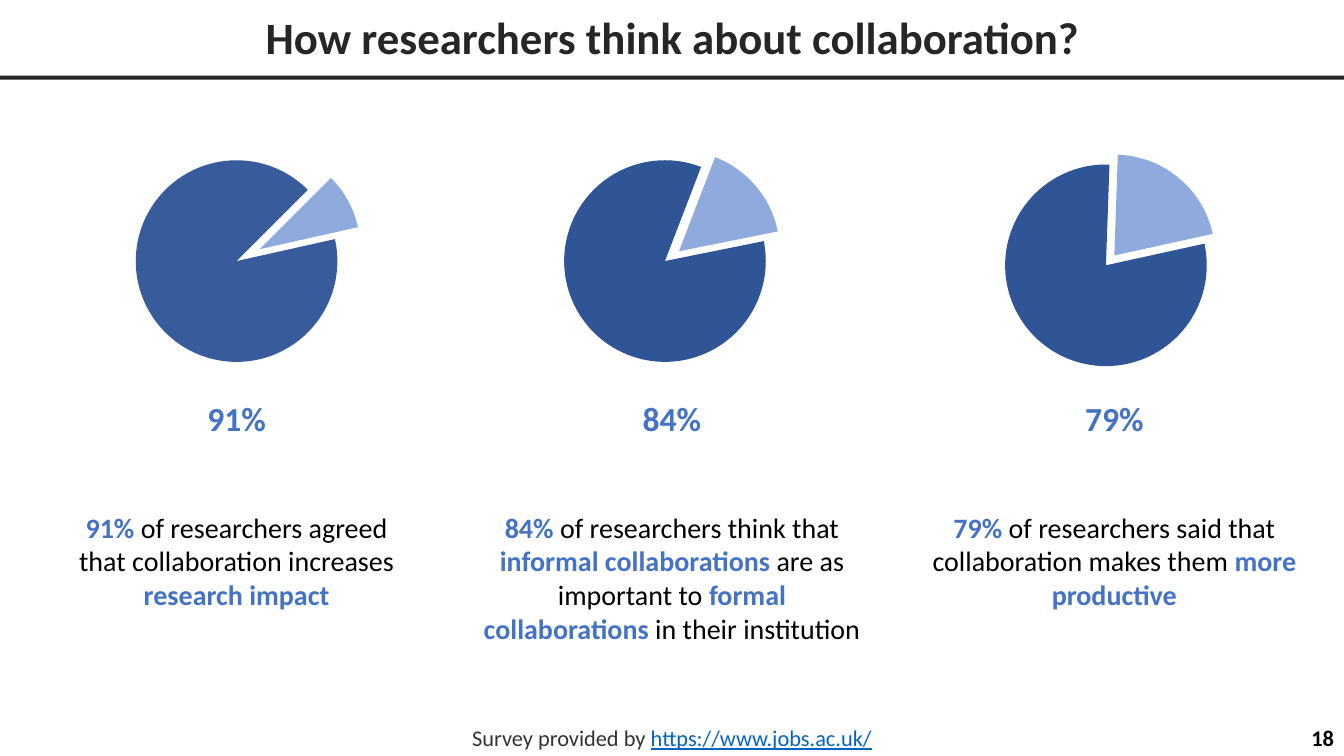
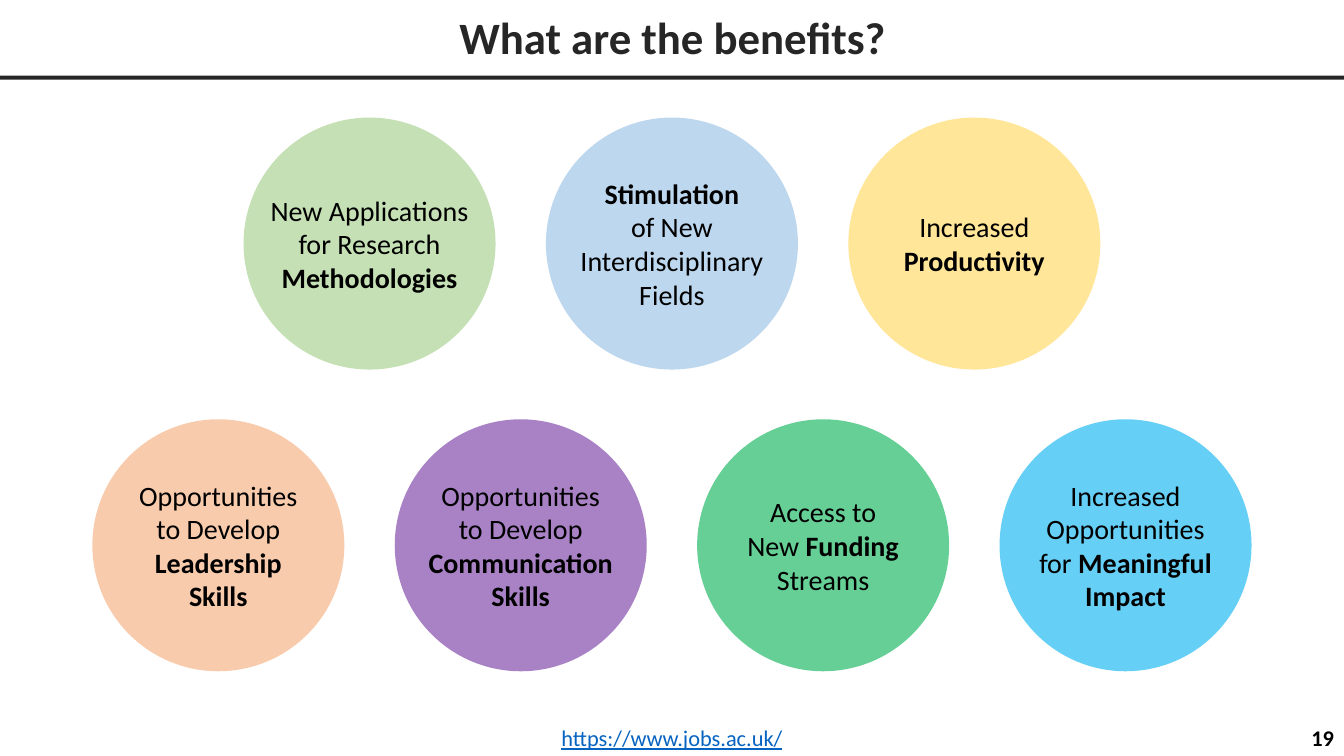
from dataclasses import dataclass

import pptx
import pptx.dml.color
import pptx.enum.shapes
import pptx.enum.text
import pptx.oxml
import pptx.oxml.ns
import pptx.util

Pt = pptx.util.Pt
SHAPE = pptx.enum.shapes.MSO_SHAPE
ALIGN = pptx.enum.text.PP_ALIGN
ANCHOR = pptx.enum.text.MSO_ANCHOR


@dataclass(frozen=True)
class Style:
    size: int
    color: str
    bold: bool = False
    underline: bool = False


class Theme:
    font = "Calibri"
    page_width, page_height = 960, 540
    rule_color = "262626"
    pie_color, slice_color = "2F5597", "8FAADC"
    title = Style(32, "262626", bold=True)
    body = Style(20, "000000")
    strong = Style(20, "000000", bold=True)
    accent = Style(20, "4472C4", bold=True)
    figure = Style(24, "4472C4", bold=True)
    footer = Style(16, "333333")
    link = Style(16, "0563C1", underline=True)
    number = Style(16, "000000", bold=True)


@dataclass(frozen=True)
class Finding:
    percent: int
    column: tuple      # left, width
    pie: tuple         # left, top
    shift: tuple       # offset of the pulled-out slice
    rotation: float
    opacity: int
    statement: str


FINDINGS = [
    Finding(91, (43, 252), (97, 114.5), (16.5, -8.5), -12.6, 96,
            "*91% *of researchers agreed that collaboration increases "
            "*research impact*"),
    Finding(84, (336, 288), (403, 114.5), (10, -7), -11.4, 100,
            "*84% *of researchers think that *informal collaborations* are as "
            "important to *formal collaborations *in their institution"),
    Finding(79, (652, 288), (718, 117.5), (6, -7), -12.4, 100,
            "*79% *of researchers said that collaboration makes them "
            "*more productive*"),
]

# Rows of benefits: fill, opacity, lines
BENEFIT_ROWS = [
    [("C5E0B4", 100, ["New Applications", "for Research", "*Methodologies*"]),
     ("BDD7EE", 100, ["*Stimulation*", "of New", "Interdisciplinary", "Fields"]),
     ("FFE699", 100, ["Increased", "*Productivity*"])],
    [("F8CBAD", 100, ["Opportunities", "to Develop", "*Leadership*", "*Skills*"]),
     ("7030A0", 60, ["Opportunities", "to Develop", "*Communication*", "*Skills*"]),
     ("00B050", 60, ["Access to", "New *Funding*", "Streams"]),
     ("00B0F0", 60, ["Increased", "Opportunities", "for *Meaningful*", "*Impact*"])],
]


def rgb(color):
    return pptx.dml.color.RGBColor.from_string(color)


def write(frame, lines, plain, marked=None, align=ALIGN.CENTER):
    """Fill a text frame; parts between asterisks take the marked style."""
    for index, line in enumerate(lines):
        para = frame.paragraphs[0] if index == 0 else frame.add_paragraph()
        para.alignment = align
        for position, part in enumerate(line.split("*")):
            if not part:
                continue
            style = marked if position % 2 else plain
            span = para.add_run()
            span.text = part
            span.font.name = Theme.font
            span.font.size = Pt(style.size)
            span.font.bold = style.bold
            span.font.underline = style.underline
            span.font.color.rgb = rgb(style.color)


def add_text(page, box, text, plain, marked=None, align=ALIGN.CENTER):
    frame = page.shapes.add_textbox(*map(Pt, box)).text_frame
    frame.word_wrap = True
    write(frame, [text], plain, marked, align)


def add_filled(page, kind, box, color, opacity=100):
    shape = page.shapes.add_shape(kind, *map(Pt, box))
    shape.shadow.inherit = False
    shape.fill.solid()
    shape.fill.fore_color.rgb = rgb(color)
    shape.line.fill.background()
    if opacity < 100:
        fill_color = shape.element.spPr.find(".//" + pptx.oxml.ns.qn("a:srgbClr"))
        alpha = pptx.oxml.parse_xml(
            f'<a:alpha {pptx.oxml.ns.nsdecls("a")} val="{opacity * 1000}"/>')
        fill_color.append(alpha)
    return shape


def prepare_layout(page):
    """Give the layout of this page its title position and title rule."""
    layout = page.slide_layout
    for holder in list(layout.placeholders):
        if holder.placeholder_format.idx:
            holder.element.getparent().remove(holder.element)
    title = layout.placeholders[0]
    title.left, title.top, title.width, title.height = map(Pt, (50, 7, 861, 42.5))
    rule = add_filled(page, SHAPE.RECTANGLE, (0, 54, Theme.page_width, 3),
                      Theme.rule_color)
    rule.element.nvSpPr.cNvPr.set("id", "20")
    layout.shapes.element.append(rule.element)


def add_frame(page, title, source, number):
    """Title, source line and page number."""
    frame = page.shapes.title.text_frame
    frame.auto_size = pptx.enum.text.MSO_AUTO_SIZE.NONE
    frame.vertical_anchor = ANCHOR.MIDDLE
    write(frame, [title], Theme.title)
    frame.paragraphs[0].line_spacing = 0.9
    add_text(page, (0, 513.5, Theme.page_width, 26.5), source,
             Theme.footer, Theme.link)
    add_text(page, (744, 513.5, 216, 26.5), str(number), Theme.number,
             align=ALIGN.RIGHT)


def add_pie(page, box, finding):
    """Main share plus a slice pulled out for the rest."""
    left, top, width, height = box
    shift_x, shift_y = finding.shift
    split = finding.percent * 3.6 * 0.6   # degrees in adjustment units
    parts = [
        (box, Theme.pie_color, finding.opacity, (0, split)),
        ((left + shift_x, top + shift_y, width, height),
         Theme.slice_color, 100, (split, 0)),
    ]
    for part_box, color, opacity, angles in parts:
        part = add_filled(page, SHAPE.PIE, part_box, color, opacity)
        part.adjustments[0], part.adjustments[1] = angles
        part.rotation = finding.rotation


def add_finding(page, finding):
    """One column: pie, figure and statement."""
    left, width = finding.column
    add_pie(page, (*finding.pie, 144, 144), finding)
    add_text(page, (left, 281, width, 36), f"{finding.percent}%", Theme.figure)
    add_text(page, (left, 361, width, 104), finding.statement,
             Theme.body, Theme.accent)


def add_benefit_row(page, top, benefits, diameter=180, gap=36):
    """A centred row of circles."""
    pitch = diameter + gap
    start = (Theme.page_width - len(benefits) * pitch + gap) / 2
    for index, (color, opacity, lines) in enumerate(benefits):
        box = (start + index * pitch, top, diameter, diameter)
        circle = add_filled(page, SHAPE.OVAL, box, color, opacity)
        frame = circle.text_frame
        frame.word_wrap = False
        frame.vertical_anchor = ANCHOR.MIDDLE
        write(frame, lines, Theme.body, Theme.strong)


def main():
    deck = pptx.Presentation()
    deck.slide_width = Pt(Theme.page_width)
    deck.slide_height = Pt(Theme.page_height)
    title_only = deck.slide_layouts[5]

    # Survey findings
    page = deck.slides.add_slide(title_only)
    prepare_layout(page)
    add_frame(page, "How researchers think about collaboration?",
              "Survey provided by *https://www.jobs.ac.uk/*", 18)
    for finding in FINDINGS:
        add_finding(page, finding)

    # Benefits
    page = deck.slides.add_slide(title_only)
    add_frame(page, "What are the benefits?", "*https://www.jobs.ac.uk/*", 19)
    for top, benefits in zip((84, 299.5), BENEFIT_ROWS):
        add_benefit_row(page, top, benefits)

    deck.save("out.pptx")


if __name__ == "__main__":
    main()
